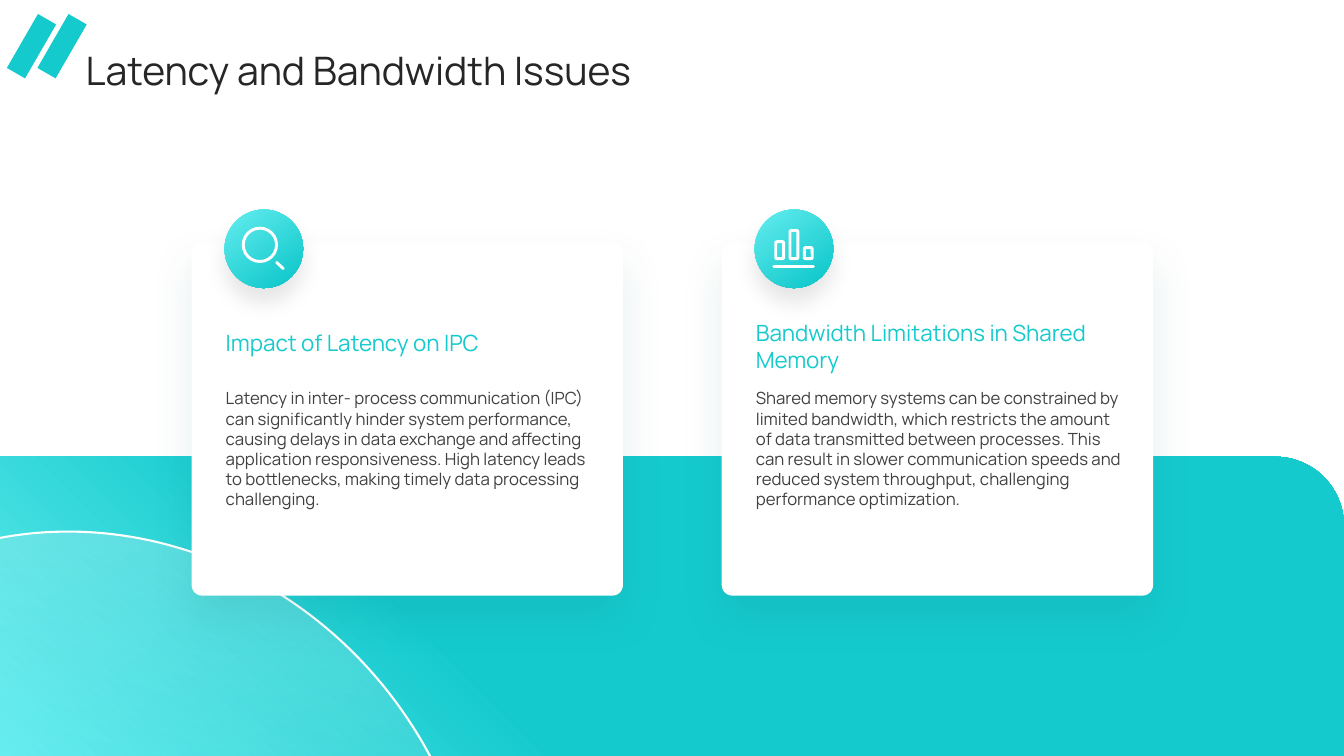
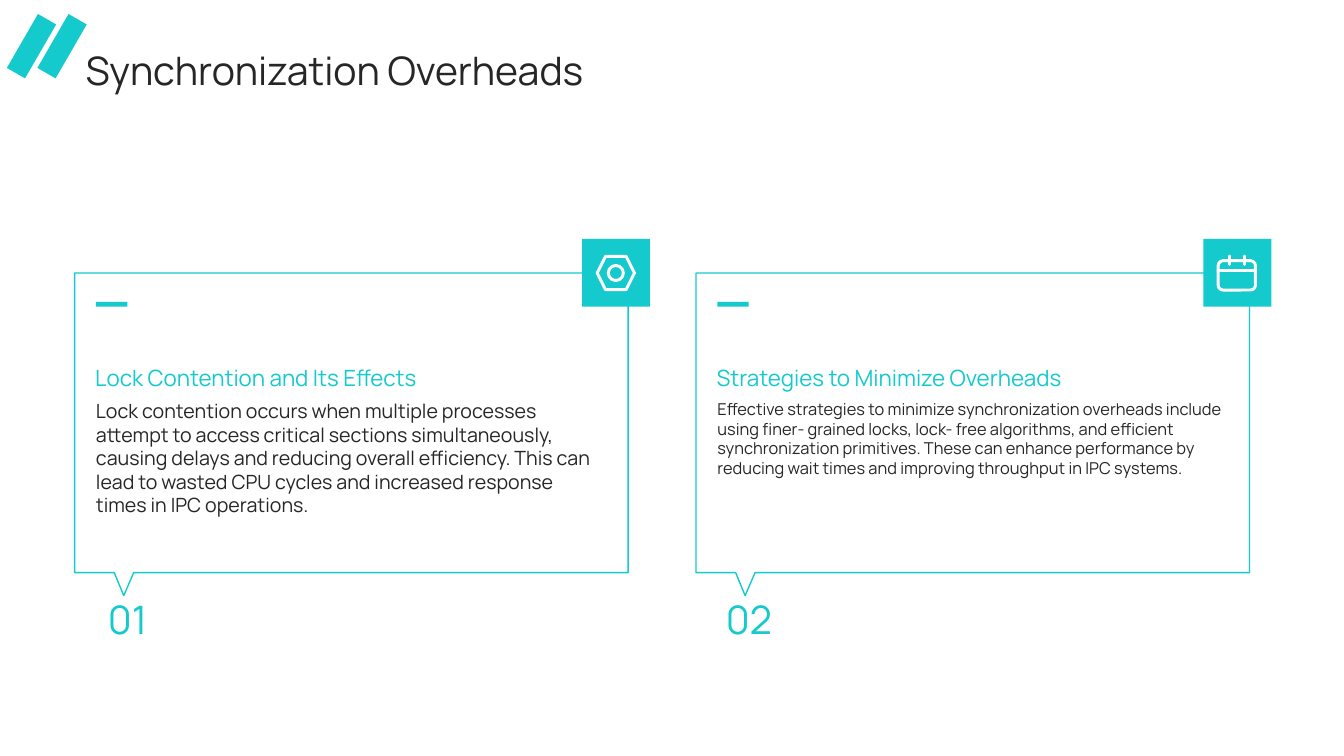
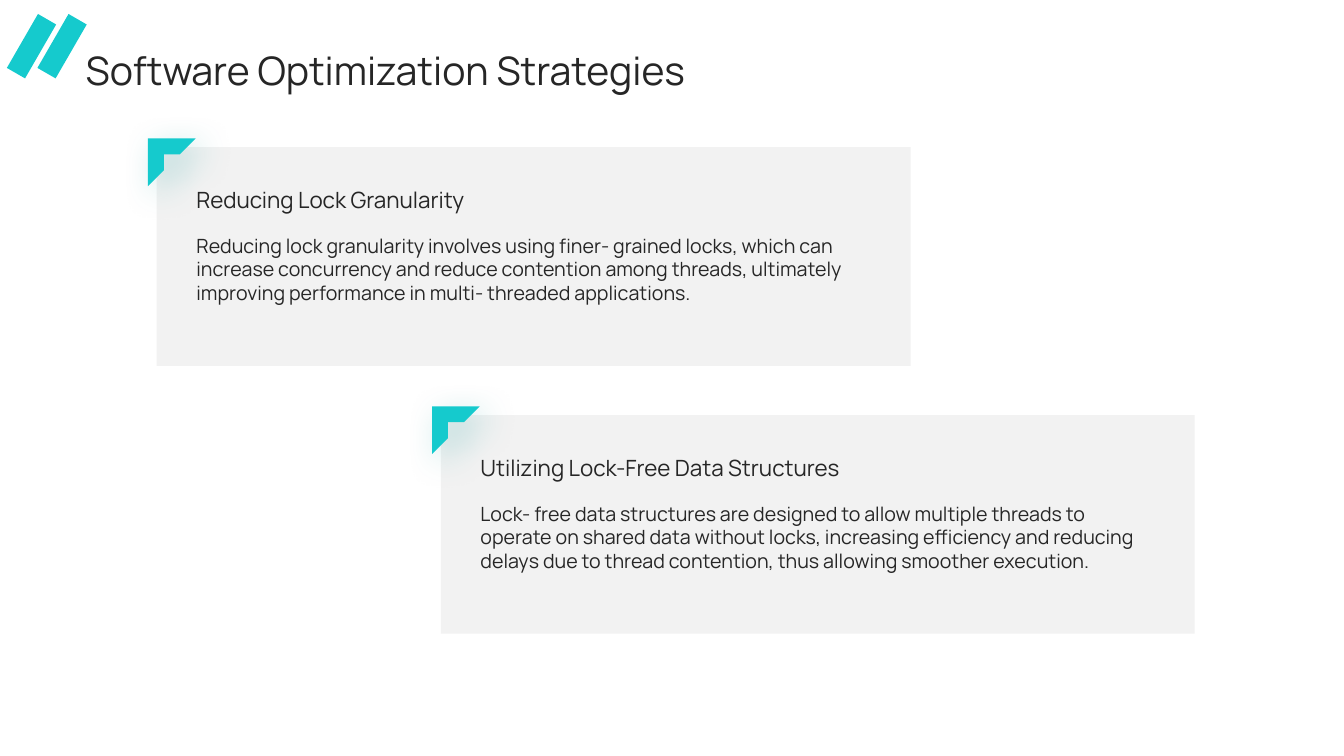
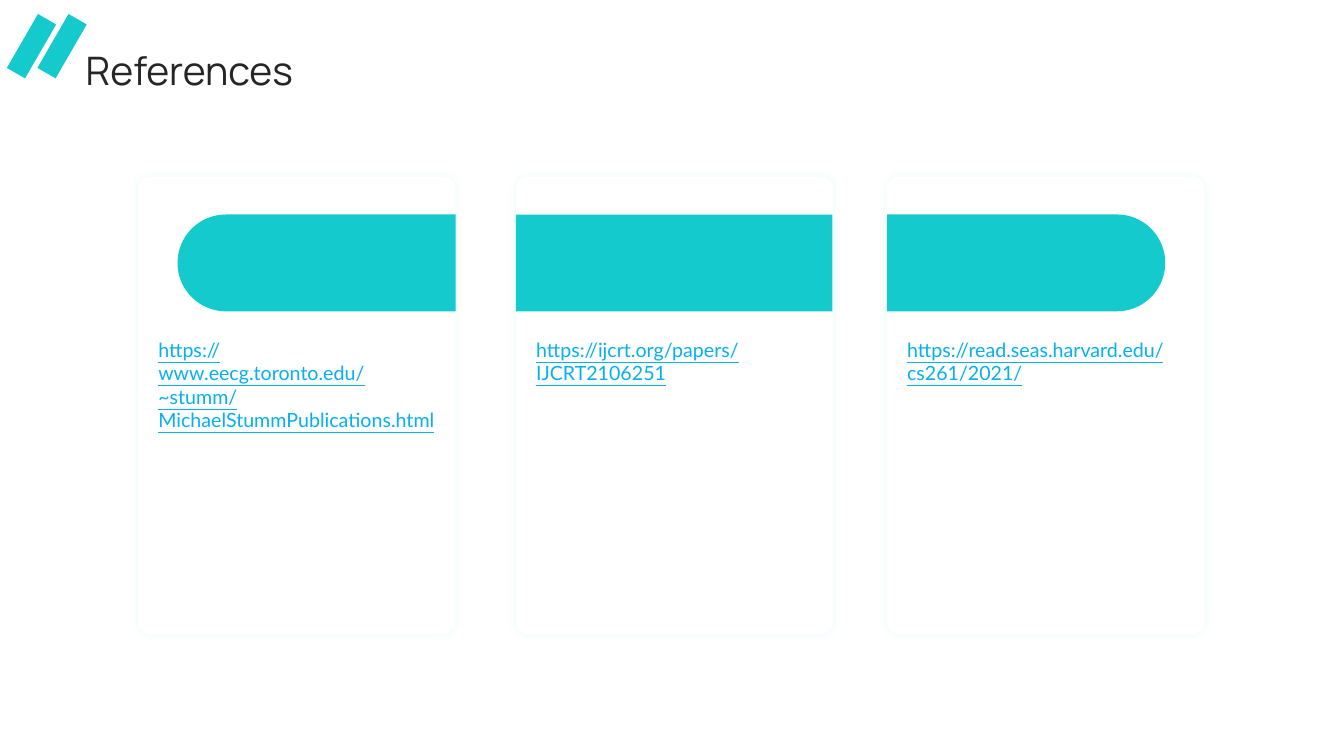
"""Builds four slides on inter-process communication performance."""
import dataclasses

import lxml.etree
import pptx
import pptx.dml.color
import pptx.enum.shapes
import pptx.enum.text
import pptx.oxml.ns
import pptx.util

Cm = pptx.util.Cm
Pt = pptx.util.Pt
RGB = pptx.dml.color.RGBColor.from_string
SHAPE = pptx.enum.shapes.MSO_SHAPE
ALIGN = pptx.enum.text.PP_ALIGN
ANCHOR = pptx.enum.text.MSO_ANCHOR
qn = pptx.oxml.ns.qn


@dataclasses.dataclass(frozen=True)
class Theme:
    font: str = "Manrope"
    link_font: str = "Lato"
    teal: str = "15CACD"
    aqua: str = "64EDEF"
    white: str = "FFFFFF"
    ink: str = "262626"
    grey: str = "404040"
    pale: str = "F2F2F2"
    link: str = "06B0F0"
    title_size: float = 28
    heading_size: float = 16
    body_size: float = 14
    small_size: float = 12
    fitted_size: float = 11.7
    icon_line: float = 2.1


T = Theme()


def style(sp, fill=None, line=None, width=1, gradient=None, shadow=None):
    if gradient:
        angle, *stops = gradient
        sp.fill.gradient()
        sp.fill.gradient_angle = angle
        for stop, (position, color, alpha) in zip(sp.fill.gradient_stops, stops):
            stop.position = position
            stop.color.rgb = RGB(color)
        for clr, (position, color, alpha) in zip(sp.element.spPr.findall(".//" + qn("a:srgbClr")), stops):
            lxml.etree.SubElement(clr, qn("a:alpha"), val=str(alpha * 1000))
    elif fill:
        sp.fill.solid()
        sp.fill.fore_color.rgb = RGB(fill)
    else:
        sp.fill.background()
    if line:
        sp.line.color.rgb = RGB(line)
        sp.line.width = Pt(width)
    else:
        sp.line.fill.background()
    sp.shadow.inherit = False
    if shadow:
        color, alpha, blur, distance, angle = shadow
        effects = sp.element.spPr.find(qn("a:effectLst"))
        outer = lxml.etree.SubElement(
            effects, qn("a:outerShdw"), blurRad=str(Pt(blur)), dist=str(Pt(distance)),
            dir=str(angle * 60000), algn="ctr", rotWithShape="0")
        clr = lxml.etree.SubElement(outer, qn("a:srgbClr"), val=color)
        lxml.etree.SubElement(clr, qn("a:alpha"), val=str(alpha * 1000))
    return sp


def write(sp, text, size, color, font=T.font, anchor=ANCHOR.TOP, align=ALIGN.LEFT, inset=(0, 0)):
    tf = sp.text_frame
    tf.word_wrap = True
    tf.auto_size = pptx.enum.text.MSO_AUTO_SIZE.NONE
    tf.vertical_anchor = anchor
    tf.margin_left = tf.margin_right = Cm(inset[0])
    tf.margin_top = tf.margin_bottom = Cm(inset[1])
    p = tf.paragraphs[0]
    p.text = text
    p.alignment = align
    p.font.name = font
    p.font.size = Pt(size)
    p.font.color.rgb = RGB(color)
    return p


prs = pptx.Presentation()
prs.slide_width = Cm(33.87)
prs.slide_height = Cm(19.05)

titles = ["Latency and Bandwidth Issues", "Synchronization Overheads",
          "Software Optimization Strategies", "References"]
for title in titles:
    s = prs.slides.add_slide(prs.slide_layouts[5])
    sp = s.shapes.title
    sp.left, sp.top, sp.width, sp.height = map(Cm, (2.16, 1.12, 29.64, 1.3))
    write(sp, title, T.title_size, T.ink, anchor=ANCHOR.MIDDLE)
    for left in (1.3, 0.53):
        slash = style(s.shapes.add_shape(SHAPE.RECTANGLE, *map(Cm, (left, 0.38, 0.53, 1.57))), T.teal)
        slash.rotation = 30
latency, sync, software, references = prs.slides

s = latency
panel = s.shapes.add_shape(SHAPE.ROUND_1_RECTANGLE, *map(Cm, (0, 11.51, 33.87, 7.54)))
panel.adjustments[0] = 0.23
style(panel, gradient=(45, (0, T.aqua, 100), (0.34, T.teal, 100)))
circle = s.shapes.add_shape(SHAPE.OVAL, *map(Cm, (-7.37, 13.23, 19.33, 20.68)))
circle.rotation = 330
circle.element.spPr.xfrm.set("flipH", "1")
style(circle, line=T.white, width=1.5, gradient=(315, (0, T.white, 45), (0.39, T.white, 0)))
cards = [
    ("Impact of Latency on IPC", 8.13, 0.99,
     "Latency in inter- process communication (IPC) can significantly hinder system performance, "
     "causing delays in data exchange and affecting application responsiveness. High latency leads "
     "to bottlenecks, making timely data processing challenging."),
    ("Bandwidth Limitations in Shared Memory", 7.85, 1.73,
     "Shared memory systems can be constrained by limited bandwidth, which restricts the amount of "
     "data transmitted between processes. This can result in slower communication speeds and reduced "
     "system throughput, challenging performance optimization."),
]
for i, (heading, top, height, body) in enumerate(cards):
    left = 4.83 + 13.36 * i
    card = s.shapes.add_shape(SHAPE.ROUNDED_RECTANGLE, *map(Cm, (left, 6.12, 10.87, 8.89)))
    card.adjustments[0] = 0.03
    style(card, T.white, shadow=("0B6566", 10, 30, 15, 90))
    badge = s.shapes.add_shape(SHAPE.OVAL, *map(Cm, (left + 0.83, 5.28, 1.98, 1.98)))
    style(badge, gradient=(306, (0, T.aqua, 100), (0.86, T.teal, 100)), shadow=("000000", 10, 15, 10, 90))
    write(s.shapes.add_textbox(*map(Cm, (left + 0.61, top, 9.8, height))), heading,
          T.heading_size, T.teal, anchor=ANCHOR.MIDDLE, inset=(0.25, 0.13))
    write(s.shapes.add_textbox(*map(Cm, (left + 0.61, 9.65, 9.8, 4.7))), body,
          T.small_size, T.grey, inset=(0.25, 0.13))

s = sync
callouts = [
    ("01", "Lock Contention and Its Effects", T.body_size,
     "Lock contention occurs when multiple processes attempt to access critical sections "
     "simultaneously, causing delays and reducing overall efficiency. This can lead to wasted CPU "
     "cycles and increased response times in IPC operations."),
    ("02", "Strategies to Minimize Overheads", T.fitted_size,
     "Effective strategies to minimize synchronization overheads include using finer- grained locks, "
     "lock- free algorithms, and efficient synchronization primitives. These can enhance performance "
     "by reducing wait times and improving throughput in IPC systems."),
]
outline = [(0, 6.88), (13.95, 6.88), (13.95, 14.43), (1.49, 14.43), (1.24, 15.01), (1, 14.43), (0, 14.43)]
for i, (number, heading, size, body) in enumerate(callouts):
    left = 1.88 + 15.66 * i
    points = [(Cm(left + x), Cm(y)) for x, y in outline]
    builder = s.shapes.build_freeform(*points[0])
    builder.add_line_segments(points[1:])
    style(builder.convert_to_shape(), T.white, T.teal)
    for box in ((left + 12.79, 6.02, 1.71, 1.71), (left + 0.54, 7.61, 0.79, 0.12)):
        style(s.shapes.add_shape(SHAPE.RECTANGLE, *map(Cm, box)), T.teal)
    write(s.shapes.add_textbox(*map(Cm, (left + 0.52, 7.87, 12.88, 1.98))), heading,
          T.heading_size, T.teal, anchor=ANCHOR.BOTTOM)
    write(s.shapes.add_textbox(*map(Cm, (left + 0.54, 10.06, 12.85, 4.01))), body, size, T.ink)
    write(s.shapes.add_textbox(*map(Cm, (left + 0.52, 15.01, 1.63, 1.32))), number,
          T.title_size, T.teal, align=ALIGN.CENTER)

s = software
strategies = [
    ("Reducing Lock Granularity",
     "Reducing lock granularity involves using finer- grained locks, which can increase concurrency "
     "and reduce contention among threads, ultimately improving performance in multi- threaded "
     "applications."),
    ("Utilizing Lock-Free Data Structures",
     "Lock- free data structures are designed to allow multiple threads to operate on shared data "
     "without locks, increasing efficiency and reducing delays due to thread contention, thus "
     "allowing smoother execution."),
]
for i, (heading, body) in enumerate(strategies):
    left, top = 3.95 + 7.16 * i, 3.71 + 6.75 * i
    style(s.shapes.add_shape(SHAPE.RECTANGLE, *map(Cm, (left, top, 19, 5.51))), T.pale)
    corner = s.shapes.add_shape(SHAPE.HALF_FRAME, *map(Cm, (left - 0.22, top - 0.22, 1.2, 1.2)))
    style(corner, T.teal, shadow=("10989A", 30, 25, 10, 45))
    write(s.shapes.add_textbox(*map(Cm, (left + 1, top + 0.43, 17, 1.78))), heading,
          T.heading_size, T.ink, anchor=ANCHOR.MIDDLE)
    write(s.shapes.add_textbox(*map(Cm, (left + 1, top + 2.18, 17, 3))), body, T.body_size, T.ink)

s = references
sources = [
    (3.48, SHAPE.ROUND_2_SAME_RECTANGLE, (6.76, 3.12, 2.44, 7.01), 270,
     "https://www.eecg.toronto.edu/~stumm/MichaelStummPublications.html"),
    (13, SHAPE.RECTANGLE, (13, 5.41, 7.98, 2.44), 0, "https://ijcrt.org/papers/IJCRT2106251"),
    (22.35, SHAPE.ROUND_2_SAME_RECTANGLE, (24.64, 3.12, 2.44, 7.01), 90,
     "https://read.seas.harvard.edu/cs261/2021/"),
]
for left, kind, box, rotation, address in sources:
    card = s.shapes.add_shape(SHAPE.ROUNDED_RECTANGLE, *map(Cm, (left, 4.45, 8, 11.53)))
    card.adjustments[0] = 0.04
    style(card, T.white, shadow=(T.teal, 8, 5.6, 0, 0))
    band = style(s.shapes.add_shape(kind, *map(Cm, box)), T.teal)
    band.rotation = rotation
    if rotation:
        band.adjustments[0] = 0.5
    p = write(s.shapes.add_textbox(*map(Cm, (left + 0.51, 8.51, 7.01, 6.15))), address,
              T.body_size, T.link, T.link_font)
    p.font.underline = True

icon_outlines = [
    (latency, SHAPE.OVAL, (6.13, 5.75, 0.84, 0.84)),
    (sync, SHAPE.HEXAGON, (15.05, 6.46, 0.94, 0.84)),
    (sync, SHAPE.OVAL, (15.33, 6.69, 0.38, 0.38)),
    (sync, SHAPE.ROUNDED_RECTANGLE, (30.7, 6.57, 0.94, 0.74)),
]
for i, height in enumerate((0.43, 0.71, 0.28)):
    icon_outlines.append((latency, SHAPE.ROUNDED_RECTANGLE, (19.55 + 0.36 * i, 6.52 - height, 0.2, height)))
for s, kind, box in icon_outlines:
    style(s.shapes.add_shape(kind, *map(Cm, box)), line=T.white, width=T.icon_line)

icon_strokes = [
    (latency, (6.97, 6.61, 7.14, 6.77)),
    (latency, (19.5, 6.71, 20.5, 6.71)),
    (sync, (30.7, 6.81, 31.64, 6.81)),
    (sync, (30.99, 6.45, 30.99, 6.66)),
    (sync, (31.36, 6.45, 31.36, 6.66)),
]
for s, ends in icon_strokes:
    stroke = s.shapes.add_connector(pptx.enum.shapes.MSO_CONNECTOR.STRAIGHT, *map(Cm, ends))
    stroke.line.color.rgb = RGB(T.white)
    stroke.line.width = Pt(T.icon_line)
    stroke.element.spPr.find(qn("a:ln")).set("cap", "rnd")
    lxml.etree.SubElement(stroke.element.spPr, qn("a:effectLst"))

prs.save("out.pptx")
